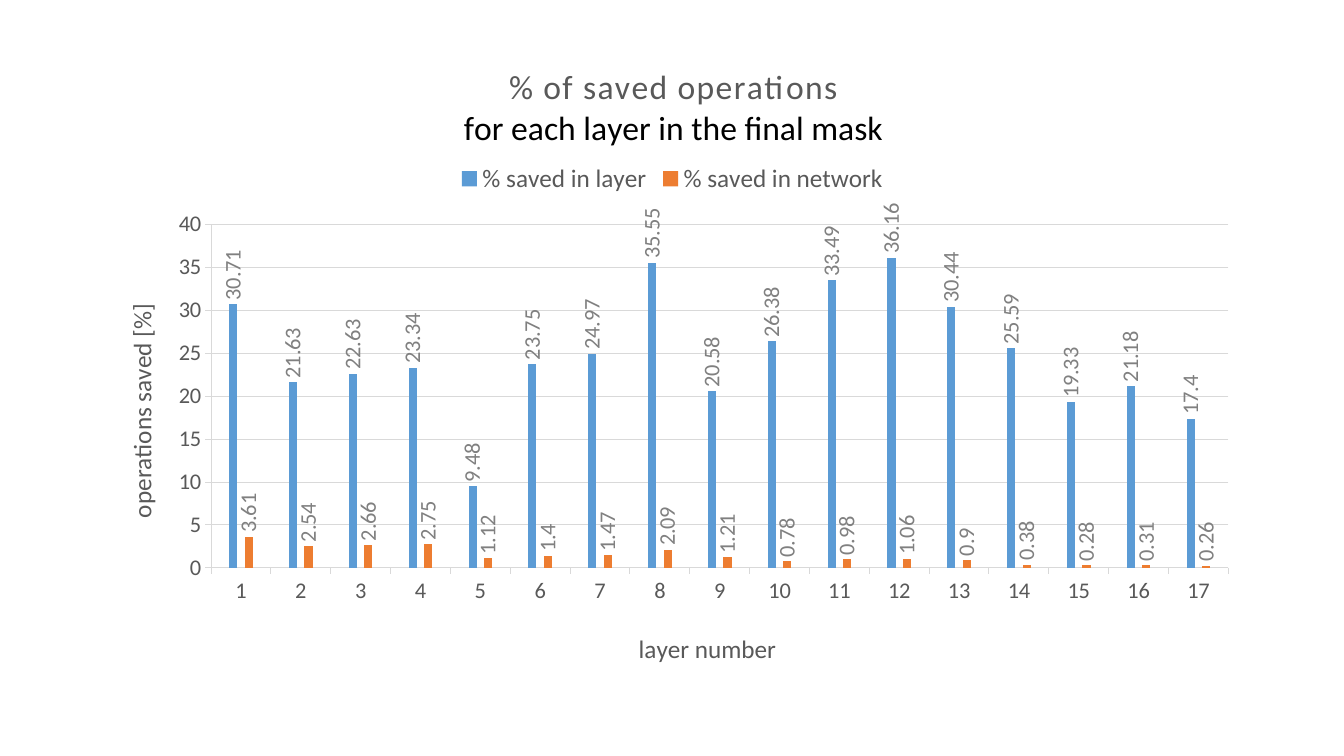
from lxml.etree import SubElement
from pptx import Presentation
from pptx.chart.data import CategoryChartData
from pptx.dml.color import RGBColor
from pptx.enum.chart import XL_CHART_TYPE as ChartType
from pptx.enum.chart import XL_LABEL_POSITION as LabelPosition
from pptx.enum.chart import XL_LEGEND_POSITION as LegendPosition
from pptx.enum.chart import XL_TICK_MARK as TickMark
from pptx.oxml.ns import qn
from pptx.util import Pt

PX = 9525
FONT = "Calibri"
BLUE = RGBColor(0x5B, 0x9B, 0xD5)
ORANGE = RGBColor(0xED, 0x7D, 0x31)
BLACK = RGBColor(0, 0, 0)
DARK_GRAY = RGBColor(0x59, 0x59, 0x59)
LABEL_GRAY = RGBColor(0x80, 0x80, 0x80)
LINE_GRAY = RGBColor(0xD9, 0xD9, 0xD9)
UPWARD = "-5400000"

CHART_WIDTH, CHART_HEIGHT = 1104, 611
SAVED_IN_LAYER = (30.71, 21.63, 22.63, 23.34, 9.48, 23.75, 24.97, 35.55, 20.58,
                  26.38, 33.49, 36.16, 30.44, 25.59, 19.33, 21.18, 17.4)
SAVED_IN_NETWORK = (3.61, 2.54, 2.66, 2.75, 1.12, 1.4, 1.47, 2.09, 1.21,
                    0.78, 0.98, 1.06, 0.9, 0.38, 0.28, 0.31, 0.26)


def style_font(font, size, color):
    """Give a font its face, size and colour."""
    font.name, font.size, font.bold = FONT, Pt(size), False
    font.color.rgb = color


def style_line(line):
    """Make a thin light gray line."""
    line.color.rgb = LINE_GRAY
    line.width = Pt(0.75)


def place(element, left, top, width=None, height=None):
    """Put a chart part at a fixed place, in px from the chart's corner."""
    layout = element.find(qn("c:layout"))
    if layout is None:
        layout = element.makeelement(qn("c:layout"))
        overlay = element.find(qn("c:overlay"))
        if overlay is None:
            element.insert(0, layout)
        else:
            overlay.addprevious(layout)
    layout.clear()
    manual = SubElement(layout, qn("c:manualLayout"))
    settings = [("xMode", "edge"), ("yMode", "edge"),
                ("x", left / CHART_WIDTH), ("y", top / CHART_HEIGHT)]
    if width:
        settings.insert(0, ("layoutTarget", "inner"))
        settings += [("w", width / CHART_WIDTH), ("h", height / CHART_HEIGHT)]
    for name, value in settings:
        SubElement(manual, qn(f"c:{name}")).set("val", str(value))


def turn_upward(element):
    """Turn the text of a chart part to read from bottom to top."""
    body = next(element.iter(qn("a:bodyPr")))
    body.set("rot", UPWARD)
    body.set("vert", "horz")


def write_title(title, lines, size, left, top):
    """Write and place a title from pairs of text and colour."""
    frame = title.text_frame
    frame.text = "\n".join(text for text, _ in lines)
    for paragraph, (_, color) in zip(frame.paragraphs, lines):
        style_font(paragraph.runs[0].font, size, color)
    place(title._element, left, top)


def style_axis(axis, text, left, top):
    """Style an axis and write its title."""
    style_font(axis.tick_labels.font, 16, DARK_GRAY)
    style_line(axis.format.line)
    axis.major_tick_mark = TickMark.OUTSIDE
    axis.minor_tick_mark = TickMark.NONE
    write_title(axis.axis_title, [(text, DARK_GRAY)], 18, left, top)


def style_series(series, color):
    """Colour the columns of a series and show upright values above them."""
    series.format.fill.solid()
    series.format.fill.fore_color.rgb = color
    series.invert_if_negative = False
    labels = series.data_labels
    labels.show_value = True
    labels.position = LabelPosition.OUTSIDE_END
    style_font(labels.font, 16, LABEL_GRAY)
    turn_upward(labels._element)


def add_savings_chart(slide):
    """Add the column chart of saved operations."""
    data = CategoryChartData()
    data.categories = [str(layer) for layer in range(1, 18)]
    data.add_series("% saved in layer", SAVED_IN_LAYER)
    data.add_series("% saved in network", SAVED_IN_NETWORK)
    chart = slide.shapes.add_chart(
        ChartType.COLUMN_CLUSTERED, 88 * PX, 38 * PX,
        CHART_WIDTH * PX, CHART_HEIGHT * PX, data).chart
    style_font(chart.font, 10, BLACK)

    write_title(chart.chart_title,
                [("% of saved operations", DARK_GRAY),
                 ("for each layer in the final mask", BLACK)], 24, 351, 22)
    heading = chart.chart_title.text_frame.paragraphs[0].runs[0]
    heading.font._element.set("spc", "100")

    chart.has_legend = True
    chart.legend.position = LegendPosition.TOP
    chart.legend.include_in_layout = False
    style_font(chart.legend.font, 18, DARK_GRAY)
    place(chart.legend._element, 344, 113)

    style_axis(chart.category_axis, "layer number", 516, 559)
    value_axis = chart.value_axis
    style_axis(value_axis, "operations saved [%]", 26, 247)
    turn_upward(value_axis.axis_title._element)
    value_axis.minimum_scale, value_axis.maximum_scale = 0, 40
    value_axis.major_unit = 5
    style_line(value_axis.major_gridlines.format.line)

    plot = chart.plots[0]
    plot.gap_width, plot.overlap, plot.vary_by_categories = 444, -90, False
    for series, color in zip(plot.series, (BLUE, ORANGE)):
        style_series(series, color)
    place(chart._chartSpace.chart.plotArea, 113, 176, 969, 327)


def main():
    """Build and save the presentation."""
    presentation = Presentation()
    presentation.slide_width = 1280 * PX
    presentation.slide_height = 720 * PX
    slide = presentation.slides.add_slide(presentation.slide_layouts[6])
    add_savings_chart(slide)
    presentation.save("out.pptx")


if __name__ == "__main__":
    main()
